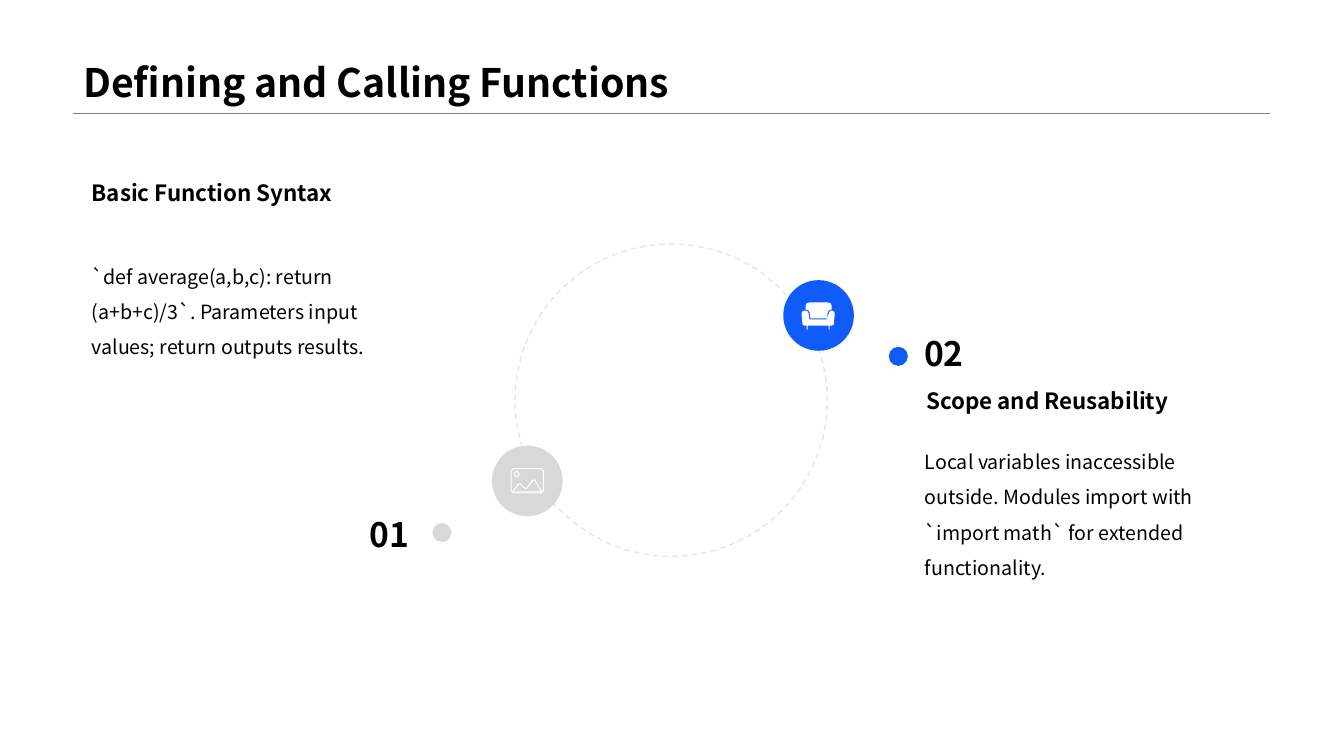
from lxml import etree
from pptx import Presentation
from pptx.dml.color import RGBColor
from pptx.enum.dml import MSO_LINE
from pptx.enum.shapes import MSO_CONNECTOR, MSO_SHAPE
from pptx.enum.text import MSO_ANCHOR, PP_ALIGN
from pptx.oxml.ns import qn
from pptx.util import Cm, Pt

OVAL = MSO_SHAPE.OVAL
STRAIGHT = MSO_CONNECTOR.STRAIGHT
DASH = MSO_LINE.DASH
TOP, MIDDLE, BOTTOM = MSO_ANCHOR.TOP, MSO_ANCHOR.MIDDLE, MSO_ANCHOR.BOTTOM
LEFT, RIGHT = PP_ALIGN.LEFT, PP_ALIGN.RIGHT

FONT = "Noto Sans CJK SC"
COLORS = {
    "text": "000000",
    "gray": "808080",
    "silver": "D8D8D8",
    "blue": "105CFB",
    "white": "FFFFFF",
}
RING_SIZE, DISC_SIZE, DOT_SIZE = 7.87, 1.78, 0.48
ICON_UNIT = Cm(0.0254)

PHOTO_ICON = [
    [(2, 0), (30, 0), (32, 2), (32, 22), (30, 24), (2, 24), (0, 22), (0, 2)],
    [(24, 12), (23, 11), (21, 12), (16, 19), (15, 20), (13, 19), (10, 16),
     (9, 15), (7, 16), (2, 22), (2, 23), (30, 23), (30, 22)],
    [(5, 3), (6, 3), (8, 5), (8, 6), (6, 8), (5, 8), (3, 6), (3, 5)],
]
ARMCHAIR_ICON = [
    [(30, 8), (32, 9), (33, 11), (32, 22), (30, 23), (28, 23), (28, 27),
     (27, 27), (27, 23), (6, 23), (6, 27), (5, 27), (5, 23), (3, 23),
     (1, 22), (0, 11), (1, 9), (3, 8), (6, 9), (7, 11), (8, 17), (25, 17),
     (27, 11), (28, 9)],
    [(26, 0), (29, 1), (30, 4), (30, 7), (27, 8), (26, 10), (25, 16),
     (9, 16), (8, 10), (7, 8), (4, 7), (4, 4), (5, 1), (8, 0)],
]


def color(name):
    return RGBColor.from_string(COLORS[name])


def paint(shape, fill=None, line=None, width=0.75):
    shape.shadow.inherit = False
    if fill:
        shape.fill.solid()
        shape.fill.fore_color.rgb = color(fill)
    else:
        shape.fill.background()
    if line:
        shape.line.color.rgb = color(line)
        shape.line.width = Pt(width)
    else:
        shape.line.fill.background()


def set_opacity(shape, percent):
    for element in shape.element.spPr.iter(qn("a:srgbClr")):
        etree.SubElement(element, qn("a:alpha")).set("val", str(percent * 1000))


def add_circle(slide, left, top, size, **style):
    shape = slide.shapes.add_shape(OVAL, Cm(left), Cm(top), Cm(size), Cm(size))
    paint(shape, **style)
    return shape


def add_icon(slide, left, top, contours, **style):
    first, *others = contours
    builder = slide.shapes.build_freeform(*first[0], scale=ICON_UNIT)
    builder.add_line_segments(first[1:], close=True)
    for contour in others:
        builder.move_to(*contour[0])
        builder.add_line_segments(contour[1:], close=True)
    paint(builder.convert_to_shape(Cm(left), Cm(top)), **style)


def add_rule(slide, left, right, top):
    rule = slide.shapes.add_connector(
        STRAIGHT, Cm(left), Cm(top), Cm(right), Cm(top))
    rule.line.color.rgb = color("gray")
    rule.line.width = Pt(0.25)
    etree.SubElement(rule.element.spPr, qn("a:effectLst"))


def add_text(slide, text, box, size, bold=False, align=LEFT, anchor=TOP,
             spacing=1.0):
    frame = slide.shapes.add_textbox(*map(Cm, box)).text_frame
    frame.word_wrap = True
    frame.vertical_anchor = anchor
    paragraph = frame.paragraphs[0]
    paragraph.text = text
    paragraph.alignment = align
    paragraph.line_spacing = spacing
    paragraph.font.name = FONT
    paragraph.font.size = Pt(size)
    paragraph.font.bold = bold
    paragraph.font.color.rgb = color("text")


def add_number(slide, text, left, top, align):
    add_text(slide, text, (left, top, 8.31, 1.27), 24, True, align, MIDDLE)


def add_heading(slide, text, left, top):
    add_text(slide, text, (left, top, 8.74, 0.94), 16, True)


def add_body(slide, text, left, top):
    add_text(slide, text, (left, top, 8.78, 4.65), 14, spacing=1.5)


def main():
    presentation = Presentation()
    presentation.slide_width = Cm(33.87)
    presentation.slide_height = Cm(19.05)
    slide = presentation.slides.add_slide(presentation.slide_layouts[6])

    add_rule(slide, 1.85, 32, 2.84)
    add_text(slide, "Defining and Calling Functions", (1.85, 0, 30.15, 2.79),
             28, True, anchor=BOTTOM, spacing=0.9)

    ring = add_circle(slide, 12.98, 6.15, RING_SIZE, line="gray", width=1)
    ring.line.dash_style = DASH
    set_opacity(ring, 20)

    add_heading(slide, "Basic Function Syntax", 2.06, 4.39)
    add_body(slide, "`def average(a,b,c): return (a+b+c)/3`. Parameters input "
             "values; return outputs results.", 2.06, 6.25)
    add_number(slide, "01", 2.26, 12.83, RIGHT)
    set_opacity(add_circle(slide, 10.9, 13.18, DOT_SIZE, fill="gray"), 30)
    add_circle(slide, 12.4, 11.23, DISC_SIZE, fill="silver")
    add_icon(slide, 12.88, 11.81, PHOTO_ICON, fill="silver", line="white")

    add_number(slide, "02", 23.04, 8.26, LEFT)
    add_heading(slide, "Scope and Reusability", 23.09, 9.63)
    add_body(slide, "Local variables inaccessible outside. Modules import with "
             "`import math` for extended functionality.", 23.06, 10.92)
    add_circle(slide, 22.4, 8.74, DOT_SIZE, fill="blue")
    add_circle(slide, 19.74, 7.06, DISC_SIZE, fill="blue")
    add_icon(slide, 20.2, 7.62, ARMCHAIR_ICON, fill="white")

    presentation.save("out.pptx")


if __name__ == "__main__":
    main()
